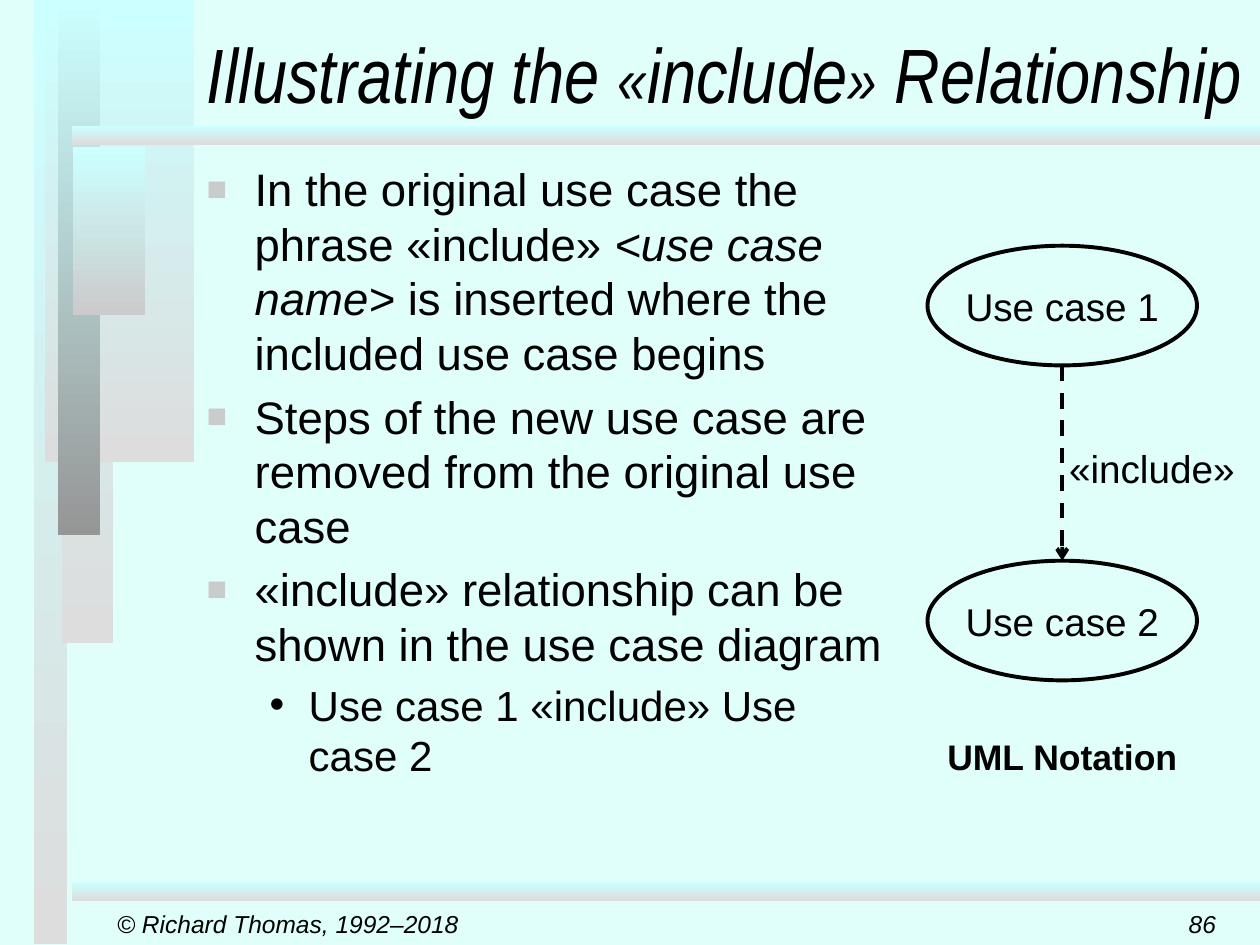
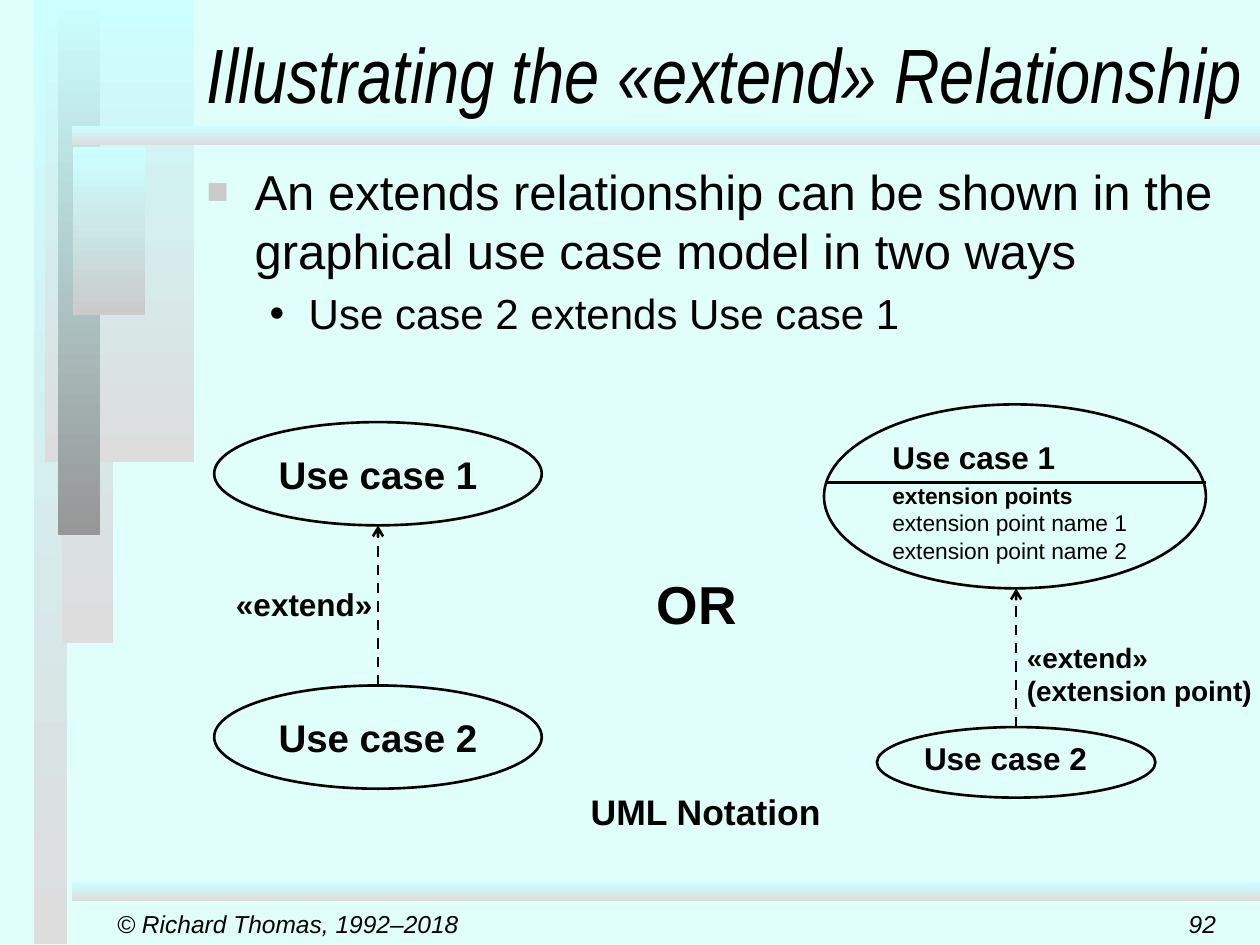
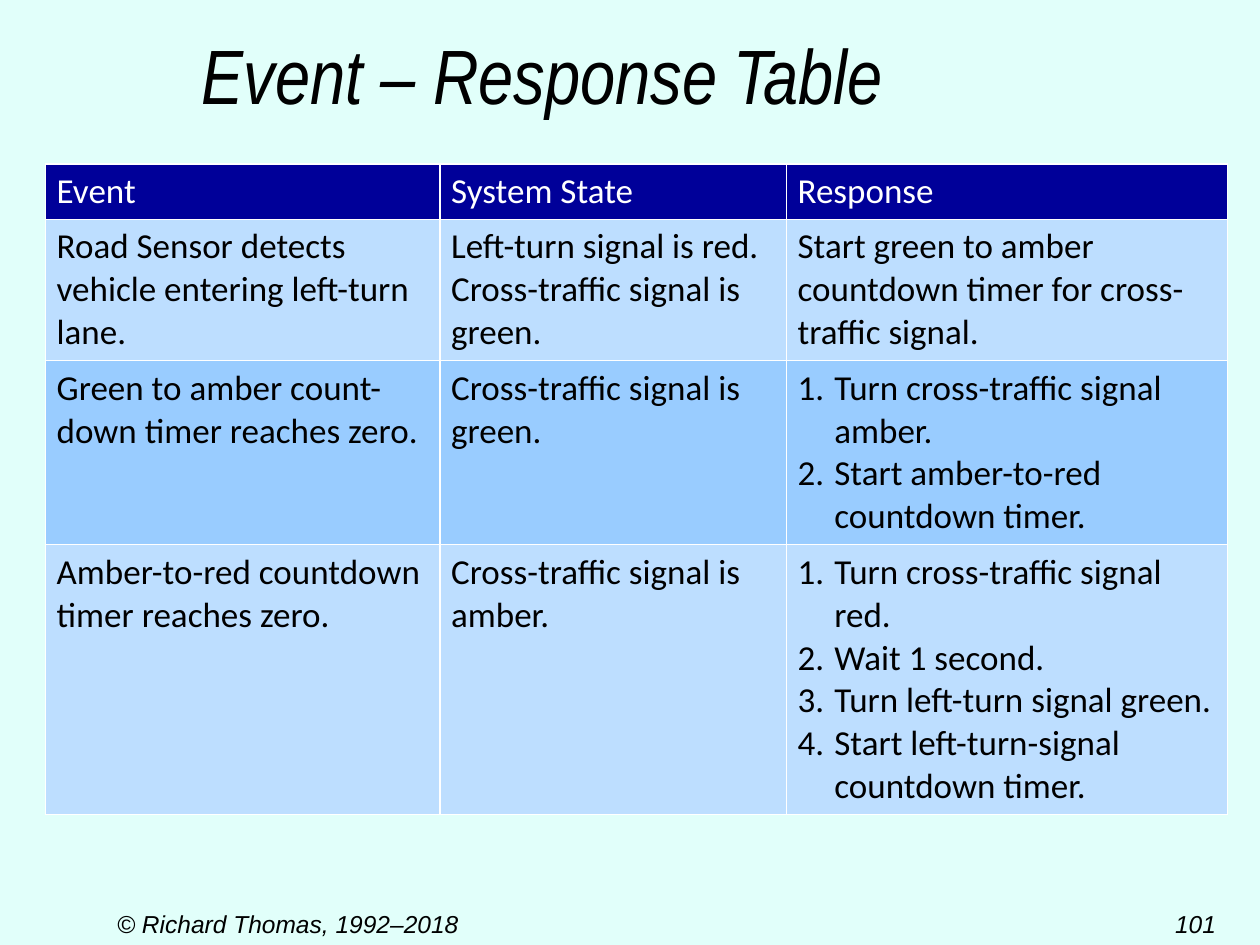
import lxml.etree
import pptx
import pptx.dml.color
import pptx.enum.dml
import pptx.enum.shapes
import pptx.enum.text
import pptx.oxml.ns
import pptx.util

Pt = pptx.util.Pt
qn = pptx.oxml.ns.qn
ALIGN = pptx.enum.text.PP_ALIGN
ANCHOR = pptx.enum.text.MSO_ANCHOR
SHAPE = pptx.enum.shapes.MSO_SHAPE

INK, WHITE, PAGE = "000000", "FFFFFF", "E1FFFA"
AQUA, SILVER, GREY, BULLET = "CCFFFF", "DDDDDD", "969696", "CBCBCB"
HEADER, ROW_ODD, ROW_EVEN = "000099", "BDDEFF", "99CCFF"
INSETS = (7.2, 3.6, 7.2, 3.6)
TITLE_BOX = (110.9, 0, 609.1, 71.3)
BANDS = [
    (19.4, 0, 18.7, 539.3, SILVER),
    (35.3, 0, 29.5, 367.2, SILVER),
    (25.9, 0, 85, 264.2, SILVER),
    (33.1, 0, 23.8, 306, GREY),
    (41.8, 84.2, 41, 95.8, BULLET),
    (41, 72, 679, 10.8, SILVER),
    (41, 504, 679, 10.8, SILVER),
]


def rgb(value):
    return pptx.dml.color.RGBColor.from_string(value)


def child(parent, tag, **attrs):
    return lxml.etree.SubElement(parent, qn(tag), attrs)


def place(sp, box):
    sp.left, sp.top, sp.width, sp.height = (Pt(v) for v in box)


def frame(tf, insets=INSETS, anchor=ANCHOR.TOP, wrap=True):
    tf.auto_size = pptx.enum.text.MSO_AUTO_SIZE.NONE
    tf.word_wrap = wrap
    tf.vertical_anchor = anchor
    tf.margin_left, tf.margin_top, tf.margin_right, tf.margin_bottom = (Pt(v) for v in insets)


def add_runs(p, runs, size, font="Arial", color=INK, bold=False, italic=False):
    for run in [runs] if isinstance(runs, str) else runs:
        text, special = (run, {}) if isinstance(run, str) else run
        r = p.add_run()
        r.text = text
        r.font.name = font
        r.font.size = Pt(special.get("size", size))
        r.font.bold = bold
        r.font.italic = special.get("italic", italic)
        r.font.color.rgb = rgb(color)


def paragraphs(tf, items):
    for i, item in enumerate(items):
        yield (tf.add_paragraph() if i else tf.paragraphs[0]), item


def set_indent(p, left, hanging):
    pPr = p._p.get_or_add_pPr()
    pPr.set("marL", str(Pt(left)))
    pPr.set("indent", str(-Pt(hanging)))
    return pPr


def add_title(slide, runs, box=TITLE_BOX):
    sp = slide.shapes.title
    place(sp, box)
    frame(sp.text_frame, anchor=ANCHOR.BOTTOM)
    p = sp.text_frame.paragraphs[0]
    p.alignment = ALIGN.LEFT
    add_runs(p, runs, 44, "Arial Narrow", italic=True)


def add_body(slide, box, items, top_size):
    sp = slide.placeholders[1]
    place(sp, box)
    frame(sp.text_frame)
    for p, (level, runs) in paragraphs(sp.text_frame, items):
        p.level = level
        pPr = set_indent(p, *((58.3, 22.3) if level else (27.4, 27.4)))
        child(child(pPr, "a:buClr"), "a:srgbClr", val=INK if level else BULLET)
        child(pPr, "a:buSzPct", val="100000" if level else "75000")
        child(pPr, "a:buFont", typeface="Arial")
        child(pPr, "a:buChar", char="•" if level else "■")
        add_runs(p, runs, 24 if level else top_size)
    sp.text_frame.paragraphs[0].space_before = Pt(0)


def add_label(slide, box, lines, size, align=ALIGN.CENTER, insets=INSETS, anchor=ANCHOR.TOP,
              wrap=False, spacing=None, **style):
    tf = slide.shapes.add_textbox(*(Pt(v) for v in box)).text_frame
    frame(tf, insets, anchor, wrap)
    for p, line in paragraphs(tf, lines):
        p.alignment = align
        p.line_spacing = spacing
        add_runs(p, line, size, **style)


def add_bands(slide):
    for *box, end in BANDS:
        sp = slide.shapes.add_shape(SHAPE.RECTANGLE, *(Pt(v) for v in box))
        sp.shadow.inherit = False
        sp.line.fill.background()
        sp.fill.gradient()
        sp.fill.gradient_angle = 270
        for stop, color in zip(sp.fill.gradient_stops, (AQUA, end)):
            stop.color.rgb = rgb(color)


def add_footer(slide, number):
    style = dict(size=14, anchor=ANCHOR.MIDDLE, italic=True)
    add_label(slide, (666, 516.2, 36, 23.8), [str(number)], align=ALIGN.RIGHT, **style)
    add_label(slide, (59.8, 516.2, 149.8, 23.8), ["© Richard Thomas, 1992–2018"],
              align=ALIGN.LEFT, **style)


def add_ellipse(slide, box, weight):
    sp = slide.shapes.add_shape(SHAPE.OVAL, *(Pt(v) for v in box))
    sp.shadow.inherit = False
    sp.fill.background()
    sp.line.color.rgb = rgb(INK)
    sp.line.width = Pt(weight)
    return sp


def add_use_case(slide, box, name, size, weight, bold=False, align=ALIGN.CENTER,
                 anchor=ANCHOR.MIDDLE, insets=INSETS):
    sp = add_ellipse(slide, box, weight)
    frame(sp.text_frame, insets, anchor, wrap=False)
    p = sp.text_frame.paragraphs[0]
    p.alignment = align
    add_runs(p, name, size, bold=bold)
    return sp


def add_line(slide, x1, y1, x2, y2, weight):
    c = slide.shapes.add_connector(pptx.enum.shapes.MSO_CONNECTOR.STRAIGHT, x1, y1, x2, y2)
    c.line.color.rgb = rgb(INK)
    c.line.width = Pt(weight)
    child(c.element.spPr, "a:effectLst")
    return c


def add_dependency(slide, upper, lower, weight, upward):
    x = lower.left + lower.width // 2
    ends = [upper.top + upper.height, lower.top]
    start, stop = reversed(ends) if upward else ends
    c = add_line(slide, x, start, x, stop, weight)
    c.line.dash_style = pptx.enum.dml.MSO_LINE.DASH
    child(c.element.spPr.find(qn("a:ln")), "a:tailEnd", type="arrow")
    (c.begin_connect if upward else c.end_connect)(lower, 0)


def add_notation(slide, x, y):
    add_label(slide, (x, y, 146.9, 31.7), ["UML Notation"], 20.3, bold=True)


def include_diagram(slide, x, y):
    upper, lower = (add_use_case(slide, (x, y + 180 * i, 154, 68.4), f"Use case {i + 1}", 22.1, 2.25)
                    for i in range(2))
    add_notation(slide, x + 3.6, y + 275.8)
    add_label(slide, (x + 73.5, y + 113, 109.4, 31), ["«include»"], 22.1, spacing=0.9)
    add_dependency(slide, upper, lower, 2.25, upward=False)


def simple_extend_diagram(slide, x, y):
    upper, lower = (add_use_case(slide, (x, y + 150.5 * i, 187.2, 59), f"Use case {i + 1}", 22, 1.5, True)
                    for i in range(2))
    add_label(slide, (x + 4.3, y + 92.2, 94.3, 26.6), ["«extend»"], 18, spacing=0.9, bold=True)
    add_dependency(slide, upper, lower, 1.5, upward=True)


def extension_point_diagram(slide, x, y):
    lower = add_use_case(slide, (x + 30.2, y + 184.4, 159.1, 40.3), "Use case 2", 18, 1.5, True,
                         ALIGN.LEFT, ANCHOR.TOP, (3.6, 0.7, 3.6, 0.7))
    upper = add_ellipse(slide, (x, y, 218.2, 105.1), 1.5)
    frame(upper.text_frame)
    lines = [("Use case 1", 18, True), ("extension points", 13, True),
             ("extension point name 1", 13, False), ("extension point name 2", 13, False)]
    for p, (text, size, bold) in paragraphs(upper.text_frame, lines):
        p.alignment = ALIGN.LEFT
        add_runs(p, text, size, bold=bold)
    upper.text_frame.paragraphs[0].space_after = Pt(3.7)
    add_line(slide, Pt(x + 1.4), Pt(y + 44.7), Pt(x + 218.2), Pt(y + 44.7), 1.5)
    add_dependency(slide, upper, lower, 1.5, upward=True)
    add_label(slide, (x + 115.9, y + 134.7, 137.5, 29.5), ["«extend»", "(extension point)"], 16,
              ALIGN.LEFT, (0, 0, 0, 0), wrap=True, bold=True)


def fill_cell(cell, lines, fill, color):
    tcPr = cell._tc.get_or_add_tcPr()
    for side in ("a:lnL", "a:lnR", "a:lnT", "a:lnB"):
        ln = child(tcPr, side, w=str(Pt(1)))
        child(child(ln, "a:solidFill"), "a:srgbClr", val=WHITE)
    cell.fill.solid()
    cell.fill.fore_color.rgb = rgb(fill)
    cell.margin_left = cell.margin_right = Pt(6.5)
    cell.margin_top = cell.margin_bottom = Pt(3.6)
    numbered = isinstance(lines, list)
    for p, line in paragraphs(cell.text_frame, lines):
        if numbered:
            child(set_indent(p, 21, 21), "a:buAutoNum", type="arabicPeriod")
        add_runs(p, line, 20, "Calibri", color)


def add_response_table(slide, box, widths, heights, rows):
    table = slide.shapes.add_table(len(rows), len(widths), *(Pt(v) for v in box)).table
    for col, width in zip(table.columns, widths):
        col.width = Pt(width)
    for i, (row, height) in enumerate(zip(table.rows, heights)):
        row.height = Pt(height)
        fill = (ROW_ODD if i % 2 else ROW_EVEN) if i else HEADER
        for cell, lines in zip(row.cells, rows[i]):
            fill_cell(cell, lines, fill, INK if i else WHITE)


def include_slide(prs):
    slide = prs.slides.add_slide(prs.slide_layouts[1])
    add_bands(slide)
    small = {"size": 36.9}
    add_title(slide, ["Illustrating the ", ("«", small), "include", ("»", small), " Relationship"])
    add_body(slide, (110.9, 88.6, 402.5, 408.2), [
        (0, ["In the original use case the phrase «include» ", ("<use case name>", {"italic": True}),
             " is inserted where the included use case begins"]),
        (0, "Steps of the new use case are removed from the original use case"),
        (0, "«include» relationship can be shown in the use case diagram"),
        (1, "Use case 1 «include» Use case 2"),
    ], 26)
    include_diagram(slide, 530, 140.4)
    add_footer(slide, 86)


def extend_slide(prs):
    slide = prs.slides.add_slide(prs.slide_layouts[1])
    add_bands(slide)
    add_title(slide, "Illustrating the «extend» Relationship")
    add_body(slide, (110.9, 88.6, 595.4, 379.4), [
        (0, "An extends relationship can be shown in the graphical use case model in two ways"),
        (1, "Use case 2 extends Use case 1"),
    ], 28)
    simple_extend_diagram(slide, 122.4, 241.2)
    add_label(slide, (367.9, 322.6, 60.5, 43.9), ["OR"], 30.5, bold=True)
    extension_point_diagram(slide, 470.9, 231.1)
    add_notation(slide, 329.8, 447.8)
    add_footer(slide, 92)


def table_slide(prs):
    slide = prs.slides.add_slide(prs.slide_layouts[5])
    add_title(slide, "Event – Response Table", (108, 0, 612, 72))
    add_response_table(slide, (25.9, 93.6, 675.4, 367.9), (225.4, 198, 252), (31, 79.9, 104.4, 152.6), [
        (("Event",), ("System State",), ("Response",)),
        (("Road Sensor detects vehicle entering left-turn lane.",),
         ("Left-turn signal is red.", "Cross-traffic signal is green."),
         ("Start green to amber countdown timer for cross-traffic signal.",)),
        (("Green to amber count-down timer reaches zero.",),
         ("Cross-traffic signal is green.",),
         ["Turn cross-traffic signal amber.", "Start amber-to-red countdown timer."]),
        (("Amber-to-red countdown timer reaches zero.",),
         ("Cross-traffic signal is amber.",),
         ["Turn cross-traffic signal red.", "Wait 1 second.", "Turn left-turn signal green.",
          "Start left-turn-signal countdown timer."]),
    ])
    add_footer(slide, 101)


def main():
    prs = pptx.Presentation()
    prs.slide_width, prs.slide_height = Pt(720), Pt(540)
    fill = prs.slide_master.background.fill
    fill.solid()
    fill.fore_color.rgb = rgb(PAGE)
    include_slide(prs)
    extend_slide(prs)
    table_slide(prs)
    prs.save("out.pptx")


if __name__ == "__main__":
    main()
